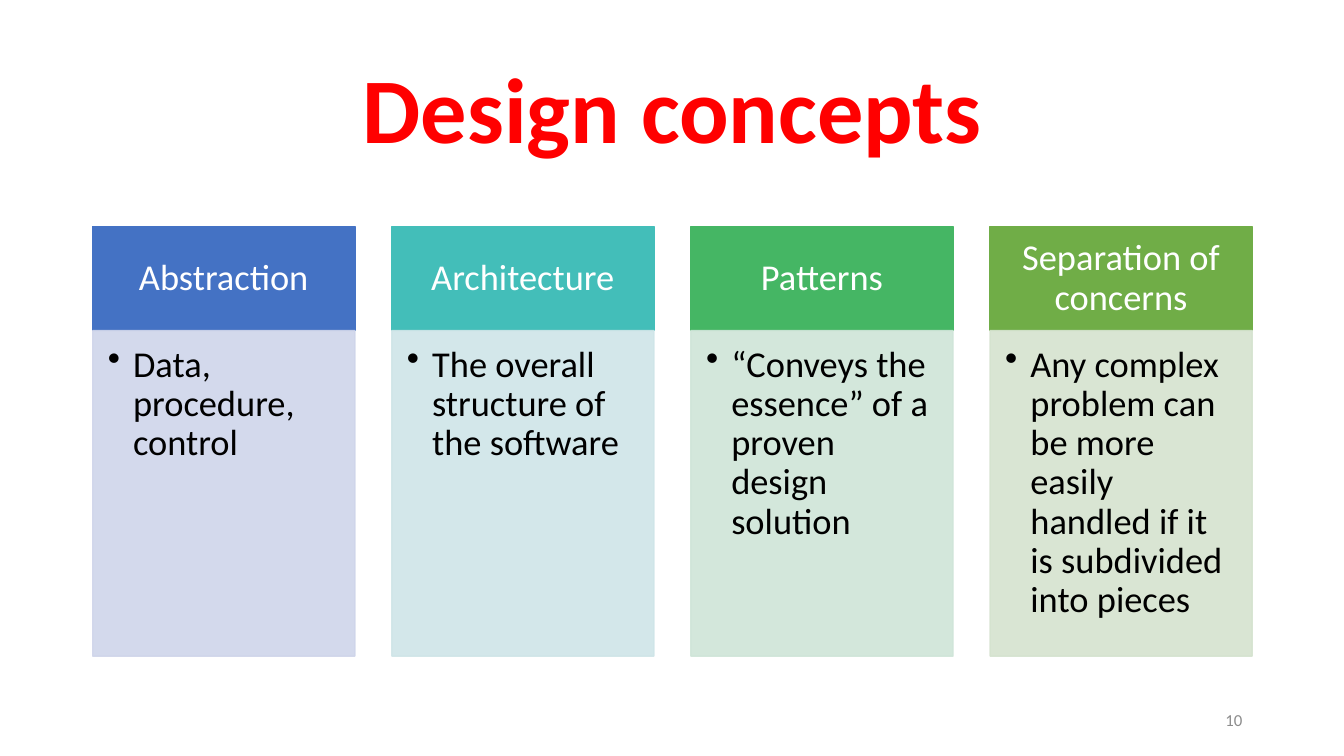
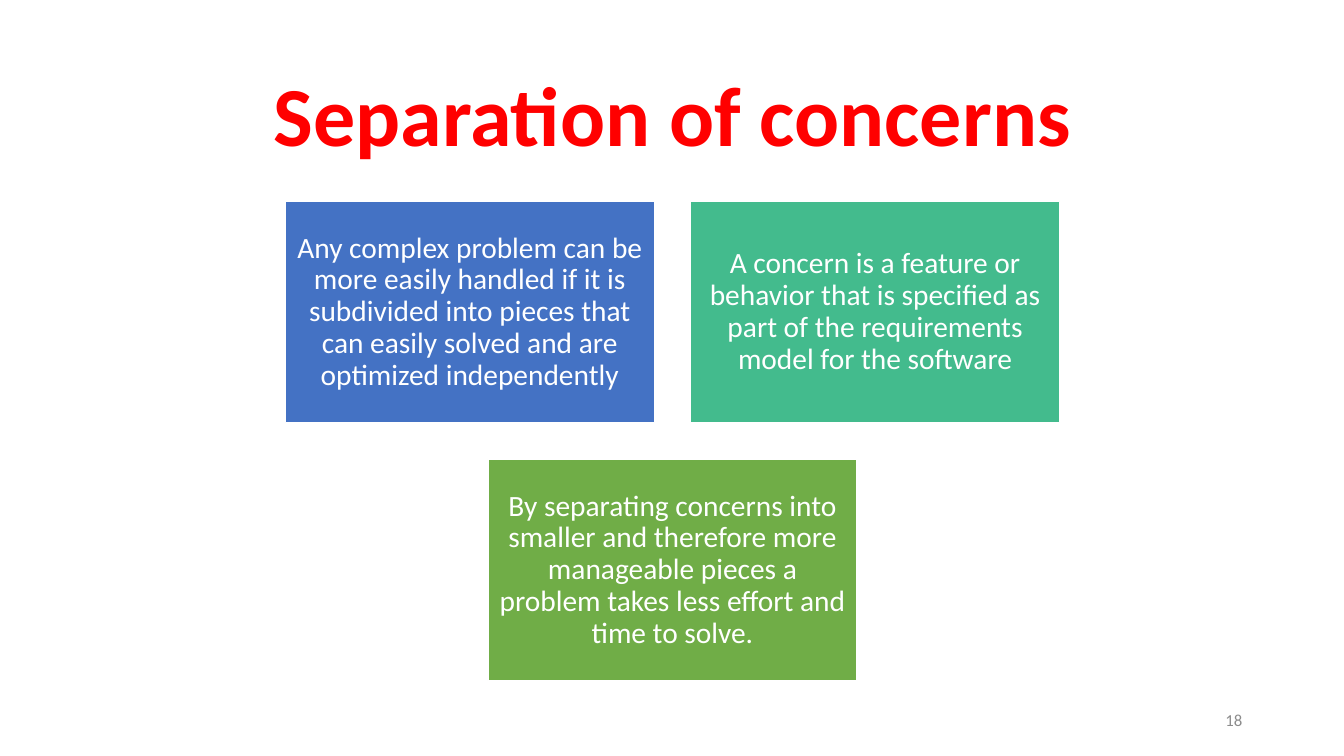
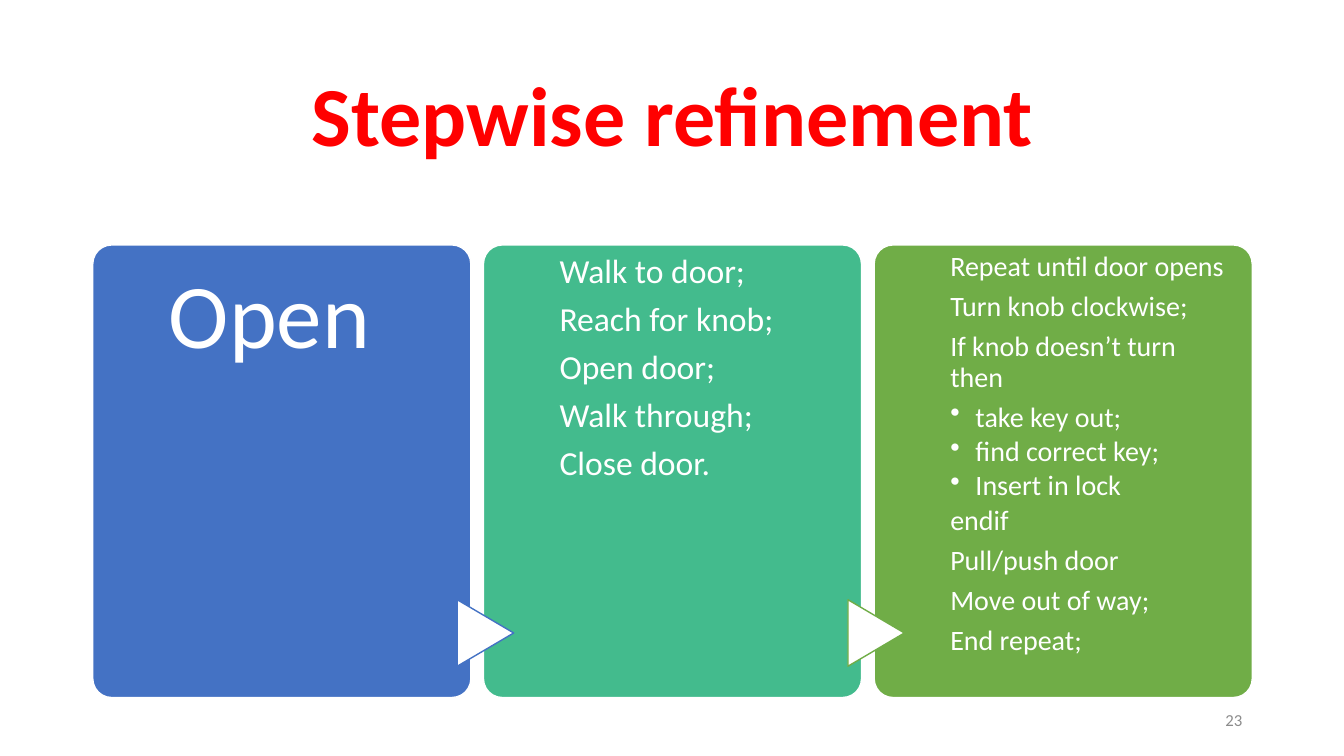
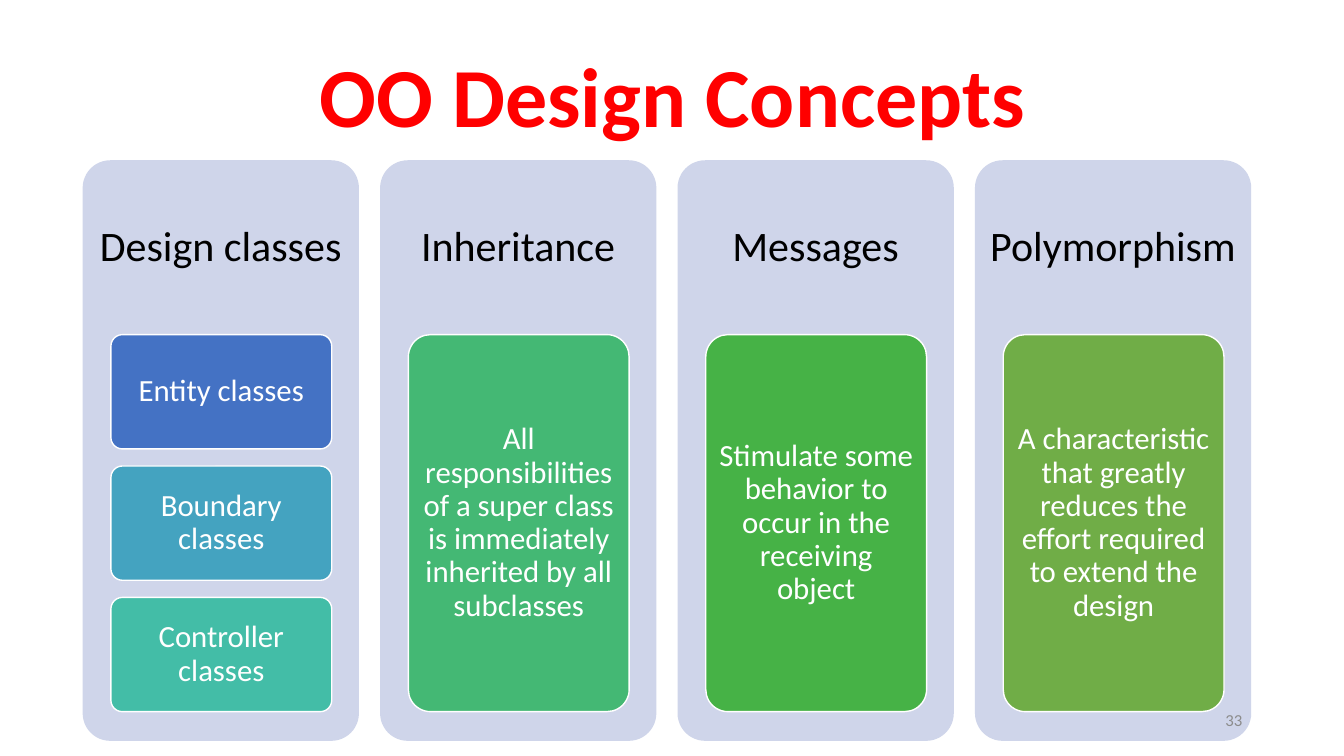
from lxml.etree import SubElement
from pptx import Presentation
from pptx.dml.color import RGBColor
from pptx.enum.shapes import MSO_SHAPE as SHAPE
from pptx.enum.text import MSO_ANCHOR as ANCHOR, MSO_AUTO_SIZE as AUTO_SIZE, PP_ALIGN as ALIGN
from pptx.oxml.ns import qn
from pptx.util import Inches, Pt

FONT = "Calibri"
RED, WHITE, BLACK, GREY = "FF0000", "FFFFFF", "000000", "8C8C8C"
BLUE, TEAL, GREEN, PALE_BLUE = "4472C4", "43BB8D", "70AD47", "CFD5EA"
LEFT, CONTENT_WIDTH = 0.92, 11.5


def add_panel(page, kind, at, fill, line=None, corner=None):
    panel = page.shapes.add_shape(kind, *map(Inches, at))
    panel.shadow.inherit = False
    panel.fill.solid()
    panel.fill.fore_color.rgb = RGBColor.from_string(fill)
    if line:
        panel.line.color.rgb = RGBColor.from_string(line)
        panel.line.width = Pt(1)
    else:
        panel.line.fill.background()
    if corner:
        panel.adjustments[0] = corner
    return panel


def write(box, lines, size, color, align=ALIGN.CENTER, anchor=ANCHOR.MIDDLE,
          insets=(0.1, 0.05, 0.1, 0.05), bold=False):
    """Fill a box with paragraphs; a line that starts with "• " becomes a bullet."""
    frame = box.text_frame
    frame.word_wrap = True
    frame.auto_size = AUTO_SIZE.NONE
    frame.vertical_anchor = anchor
    (frame.margin_left, frame.margin_top,
     frame.margin_right, frame.margin_bottom) = map(Inches, insets)
    for index, line in enumerate(lines):
        para = frame.add_paragraph() if index else frame.paragraphs[0]
        bulleted = line.startswith("• ")
        para.text = line.removeprefix("• ")
        if bulleted:
            properties = para._p.get_or_add_pPr()
            properties.set("marL", str(Inches(0.25)))
            properties.set("indent", str(Inches(-0.25)))
            SubElement(properties, qn("a:buChar")).set("char", "•")
        para.alignment = align
        para.line_spacing = 0.9
        if len(lines) > 1:
            para.space_after = Pt(size * (0.15 if bulleted else 0.35))
        para.font.name = FONT
        para.font.size = Pt(size)
        para.font.bold = bold
        para.font.color.rgb = RGBColor.from_string(color)


deck = Presentation()
deck.slide_width, deck.slide_height = Inches(13.33), Inches(7.5)

pages = []
for title, size, height in [
    ("Design concepts", 66, 1.45),
    ("Separation of concerns", 60, 1.56),
    ("Stepwise refinement", 60, 1.56),
    ("OO Design Concepts", 60, 1.19),
]:
    page = deck.slides.add_slide(deck.slide_layouts[5])
    heading = page.shapes.title
    heading.left, heading.top = Inches(LEFT), Inches(0.4)
    heading.width, heading.height = Inches(CONTENT_WIDTH), Inches(height)
    write(heading, [title], size, RED, bold=True)
    pages.append(page)
concepts_page, concerns_page, refinement_page, oo_page = pages

# Design concepts: a header over a pale body in each column
concepts = [
    ("Abstraction", "Data, procedure, control", BLUE, PALE_BLUE),
    ("Architecture", "The overall structure of the software", "43BEB9", "CFE5E8"),
    ("Patterns", "“Conveys the essence” of a proven design solution", "45B664", "CFE5D8"),
    ("Separation of concerns",
     "Any complex problem can be more easily handled if it is subdivided into pieces",
     GREEN, "D5E3CF"),
]
width = 2.6
pitch = (CONTENT_WIDTH - width) / (len(concepts) - 1)
for column, (name, detail, strong, pale) in enumerate(concepts):
    left = LEFT + column * pitch
    header = add_panel(concepts_page, SHAPE.RECTANGLE, (left, 2.25, width, 1.03), strong, strong)
    write(header, [name], 26, WHITE, insets=(0.2, 0.12, 0.2, 0.12))
    body = add_panel(concepts_page, SHAPE.RECTANGLE, (left, 3.28, width, 3.23), pale, pale)
    for tint in body.element.spPr.iter(qn("a:srgbClr")):
        SubElement(tint, qn("a:alpha")).set("val", "90000")
    write(body, ["• " + detail], 26, BLACK, ALIGN.LEFT, ANCHOR.TOP, (0.15, 0.15, 0.2, 0.23))

# Separation of concerns: two blocks above one
for left, top, fill, text in [
    (2.83, 2, BLUE, "Any complex problem can be more easily handled if it is subdivided into "
     "pieces that can easily solved and are optimized independently"),
    (6.85, 2, TEAL, "A concern is a feature or behavior that is specified as part of the "
     "requirements model for the software"),
    (4.84, 4.56, GREEN, "By separating concerns into smaller and therefore more manageable "
     "pieces a problem takes less effort and time to solve."),
]:
    block = add_panel(concerns_page, SHAPE.RECTANGLE, (left, top, 3.66, 2.19), fill, WHITE)
    write(block, [text], 21, WHITE, insets=(0.09, 0.09, 0.09, 0.09))

# Stepwise refinement: three cards with an arrow between neighbours
steps = [
    (BLUE, None, 65, 0.19, ["Open"]),
    (TEAL, BLUE, 24, 0.04, ["Walk to door;", "Reach for knob;", "Open door;",
                            "Walk through;", "Close door."]),
    (GREEN, GREEN, 20, 0.02, ["Repeat until door opens", "Turn knob clockwise;",
                              "If knob doesn’t turn then", "• take key out;",
                              "• find correct key;", "• Insert in lock", "endif",
                              "Pull/push door", "Move out of way;", "End repeat;"]),
]
width = 3.75
pitch = (CONTENT_WIDTH - width) / (len(steps) - 1)
for column, (fill, arrow_line, size, top_inset, lines) in enumerate(steps):
    left = LEFT + column * pitch
    card = add_panel(refinement_page, SHAPE.ROUNDED_RECTANGLE, (left, 2.43, width, 4.49),
                     fill, WHITE, 0.05)
    write(card, lines, size, WHITE, ALIGN.LEFT, ANCHOR.TOP, (0.7, top_inset, 0.15, 0))
    if arrow_line:
        arrow = add_panel(refinement_page, SHAPE.FLOWCHART_EXTRACT,
                          (left - 0.31, 6, 0.66, 0.56), WHITE, arrow_line)
        arrow.rotation = 90

# OO design concepts: columns that hold equally high cards
groups = [
    ("Design classes", [("Entity classes", BLUE), ("Boundary classes", "44A3C0"),
                        ("Controller classes", "43BDA7")]),
    ("Inheritance", [("All responsibilities of a super class is immediately inherited "
                      "by all subclasses", "44B874")]),
    ("Messages", [("Stimulate some behavior to occur in the receiving object", "46B246")]),
    ("Polymorphism", [("A characteristic that greatly reduces the effort required to "
                       "extend the design", GREEN)]),
]
gap = 0.17
for column, (name, cards) in enumerate(groups):
    left = 0.82 + column * 2.95
    group = add_panel(oo_page, SHAPE.ROUNDED_RECTANGLE, (left, 1.59, 2.74, 5.76),
                      PALE_BLUE, corner=0.1)
    write(group, [name], 30, BLACK, insets=(0.04, 0, 0.04, 4.03))
    height = (3.74 - gap * (len(cards) - 1)) / len(cards)
    for row, (text, fill) in enumerate(cards):
        card = add_panel(oo_page, SHAPE.ROUNDED_RECTANGLE,
                         (left + 0.28, 3.32 + row * (height + gap), 2.19, height),
                         fill, WHITE, 0.1)
        write(card, [text], 22, WHITE, insets=(0.06, 0.05, 0.06, 0.05))

for page, number in zip(pages, ["10", "18", "23", "33"]):
    number_box = page.shapes.add_textbox(Inches(9.42), Inches(6.95), Inches(3), Inches(0.4))
    write(number_box, [number], 12, GREY, ALIGN.RIGHT)

deck.save("out.pptx")
